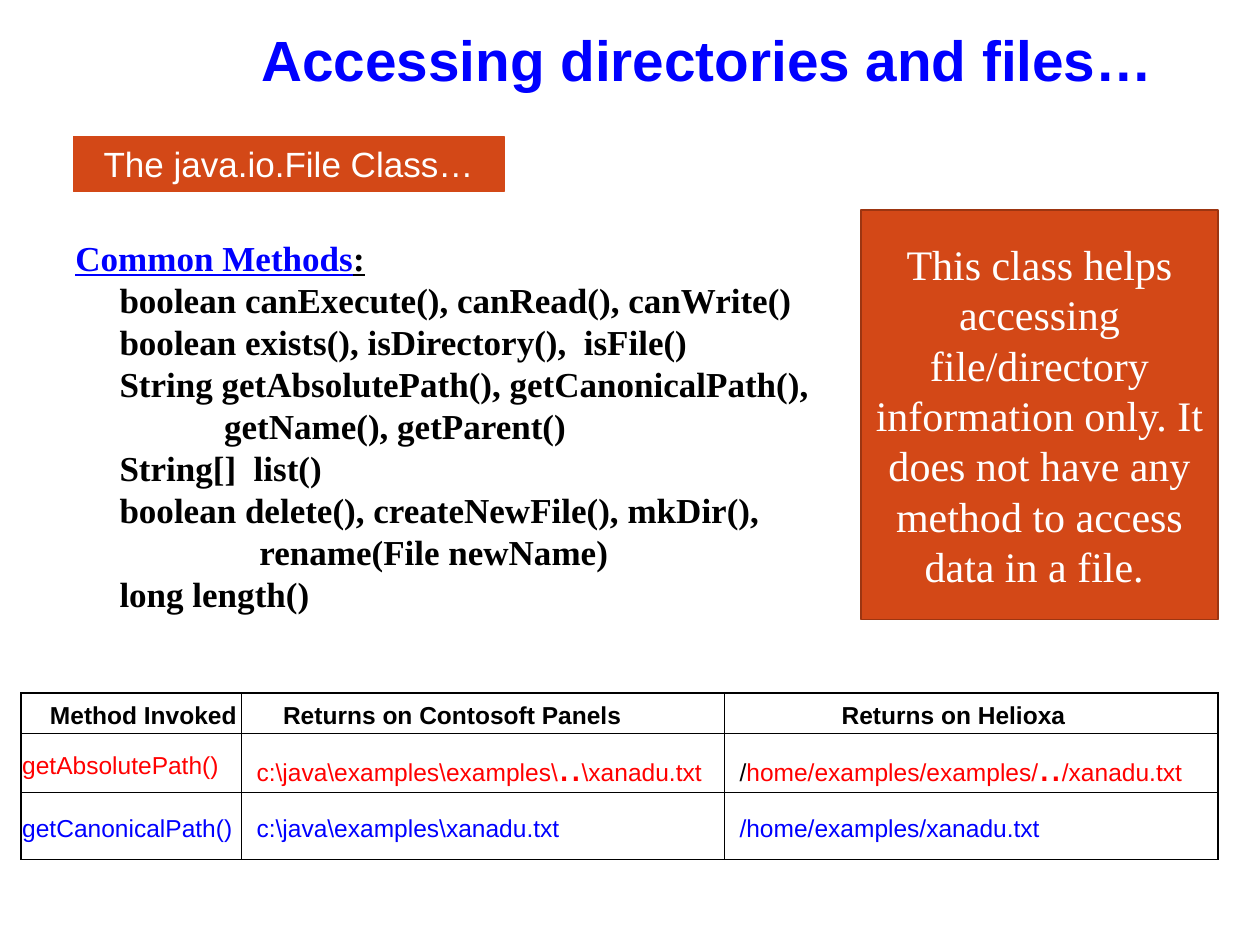
from dataclasses import dataclass
from typing import Any

from lxml import etree
from pptx import Presentation
from pptx.dml.color import RGBColor
from pptx.enum.shapes import MSO_SHAPE
from pptx.enum.text import MSO_ANCHOR, PP_ALIGN
from pptx.oxml.ns import qn
from pptx.util import Emu, Inches, Pt

RECTANGLE = MSO_SHAPE.RECTANGLE
TOP, MIDDLE, BOTTOM = MSO_ANCHOR.TOP, MSO_ANCHOR.MIDDLE, MSO_ANCHOR.BOTTOM
LEFT, CENTER, RIGHT = PP_ALIGN.LEFT, PP_ALIGN.CENTER, PP_ALIGN.RIGHT

BLACK = RGBColor(0, 0, 0)
WHITE = RGBColor(255, 255, 255)
BLUE = RGBColor(0, 0, 255)
RED = RGBColor(255, 0, 0)
ORANGE = RGBColor(0xD3, 0x48, 0x17)
RUST = RGBColor(0x9C, 0x35, 0x11)

SANS, SERIF = "Arial", "Times New Roman"
GRID_COLUMNS, GRID_ROWS = 120, 90
UNIT = Inches(10) // GRID_COLUMNS
BLANK_LAYOUT = 6


@dataclass(frozen=True)
class Area:
    column: float
    row: float
    columns: float
    rows: float

    def lengths(self) -> list[Emu]:
        return [grid(n) for n in (self.column, self.row, self.columns, self.rows)]


@dataclass(frozen=True)
class Span:
    text: str
    color: RGBColor = BLACK
    size: float = 14
    underline: bool = False


@dataclass(frozen=True)
class Line:
    spans: tuple[Span, ...]
    indent: float = 0


def grid(count: float) -> Emu:
    return Emu(int(UNIT * count))


def write(frame: Any, lines: list[Line], *, font: str, bold: bool = False,
          align: PP_ALIGN = LEFT, spacing: float = 1.0) -> None:
    frame.word_wrap = True
    for index, line in enumerate(lines):
        para = frame.add_paragraph() if index else frame.paragraphs[0]
        para.alignment = align
        para.line_spacing = spacing
        properties = para._p.get_or_add_pPr()
        properties.set("marL", str(Inches(line.indent)))
        properties.set("indent", "0")
        for span in line.spans:
            run = para.add_run()
            run.text = span.text
            run.font.name = font
            run.font.size = Pt(span.size)
            run.font.bold = bold
            run.font.underline = span.underline
            run.font.color.rgb = span.color


def add_text(page: Any, area: Area, lines: list[Line], *, anchor: MSO_ANCHOR,
             **text_format: Any) -> Any:
    box = page.shapes.add_textbox(*area.lengths())
    box.text_frame.vertical_anchor = anchor
    write(box.text_frame, lines, **text_format)
    return box


def add_panel(page: Any, area: Area, span: Span, *, font: str, outline: RGBColor,
              anchor: MSO_ANCHOR) -> None:
    panel = page.shapes.add_shape(RECTANGLE, *area.lengths())
    panel.shadow.inherit = False
    panel.fill.solid()
    panel.fill.fore_color.rgb = ORANGE
    panel.line.color.rgb = outline
    panel.line.width = Pt(1)
    panel.text_frame.vertical_anchor = anchor
    write(panel.text_frame, [Line((span,))], font=font, align=CENTER)


def add_borders(cell: Any, color: RGBColor) -> None:
    properties = cell._tc.get_or_add_tcPr()
    for side in ("lnL", "lnR", "lnT", "lnB"):
        border = etree.SubElement(properties, qn(f"a:{side}"), w=str(Pt(1)))
        fill = etree.SubElement(border, qn("a:solidFill"))
        etree.SubElement(fill, qn("a:srgbClr"), val=str(color))


def add_results(page: Any, area: Area, columns: list[float], rows: list[float],
                content: list[list[Line]]) -> None:
    table = page.shapes.add_table(len(rows), len(columns), *area.lengths()).table
    table.first_row = table.horz_banding = False
    for column, width in zip(table.columns, columns):
        column.width = grid(width)
    for row, height in zip(table.rows, rows):
        row.height = Inches(height)
    for row_index, lines in enumerate(content):
        for column_index, line in enumerate(lines):
            cell = table.cell(row_index, column_index)
            cell.margin_left = cell.margin_right = cell.margin_top = Inches(0.01)
            cell.margin_bottom = 0
            cell.vertical_anchor = MIDDLE
            add_borders(cell, BLACK)
            cell.fill.solid()
            cell.fill.fore_color.rgb = WHITE
            write(cell.text_frame, [line], font=SANS, bold=row_index == 0, spacing=1.15)


METHODS = [
    ("boolean canExecute(), canRead(), canWrite()", 0.35),
    ("boolean exists(), isDirectory(),  isFile()", 0.35),
    ("String getAbsolutePath(), getCanonicalPath(),", 0.35),
    ("getName(), getParent()", 1.18),
    ("String[]  list()", 0.35),
    ("boolean delete(), createNewFile(), mkDir(),", 0.35),
    ("rename(File newName)", 1.46),
    ("long length()", 0.35),
]

DOTS = Span("..", RED, 24)
RESULTS = [
    [
        Line((Span("Method Invoked"),), 0.22),
        Line((Span("Returns on Contosoft Panels"),), 0.32),
        Line((Span("Returns on Helioxa"),), 0.92),
    ],
    [
        Line((Span("getAbsolutePath()", RED),)),
        Line((Span("c:\\java\\examples\\examples\\", RED), DOTS,
              Span("\\xanadu.txt", RED)), 0.11),
        Line((Span("/"), Span("home/examples/examples/", RED), DOTS,
              Span("/xanadu.txt", RED)), 0.11),
    ],
    [
        Line((Span("getCanonicalPath()", BLUE),)),
        Line((Span("c:\\java\\examples\\xanadu.txt", BLUE),), 0.11),
        Line((Span("/home/examples/xanadu.txt", BLUE),), 0.11),
    ],
]


def main() -> None:
    deck = Presentation()
    deck.slide_width = grid(GRID_COLUMNS)
    deck.slide_height = grid(GRID_ROWS)
    page = deck.slides.add_slide(deck.slide_layouts[BLANK_LAYOUT])

    title = Span("Accessing directories and files…", BLUE, 32.4)
    title_box = add_text(page, Area(19, 2, 92, 8), [Line((title,))], anchor=BOTTOM,
                         font=SANS, bold=True, align=RIGHT)
    title_box.text_frame.margin_bottom = Inches(0.1)

    heading = Line((Span("Common Methods", BLUE, 20, True), Span(":", BLACK, 20, True)))
    methods = [Line((Span(text, size=20),), indent) for text, indent in METHODS]
    add_text(page, Area(6, 22, 74, 37), [heading, *methods], anchor=MIDDLE,
             font=SERIF, bold=True)

    add_results(page, Area(2, 66, 114, 15.4), [21, 46, 47], [0.32, 0.43, 0.53], RESULTS)

    note = Span("This class helps accessing file/directory information only. "
                "It does not have any method to access data in a file. ", WHITE, 24)
    add_panel(page, Area(82, 20, 34, 39), note, font=SERIF, outline=RUST, anchor=MIDDLE)
    subtitle = Span("The java.io.File Class…", WHITE, 20)
    add_panel(page, Area(7, 13, 41, 5.25), subtitle, font=SANS, outline=ORANGE, anchor=TOP)

    deck.save("out.pptx")


if __name__ == "__main__":
    main()
